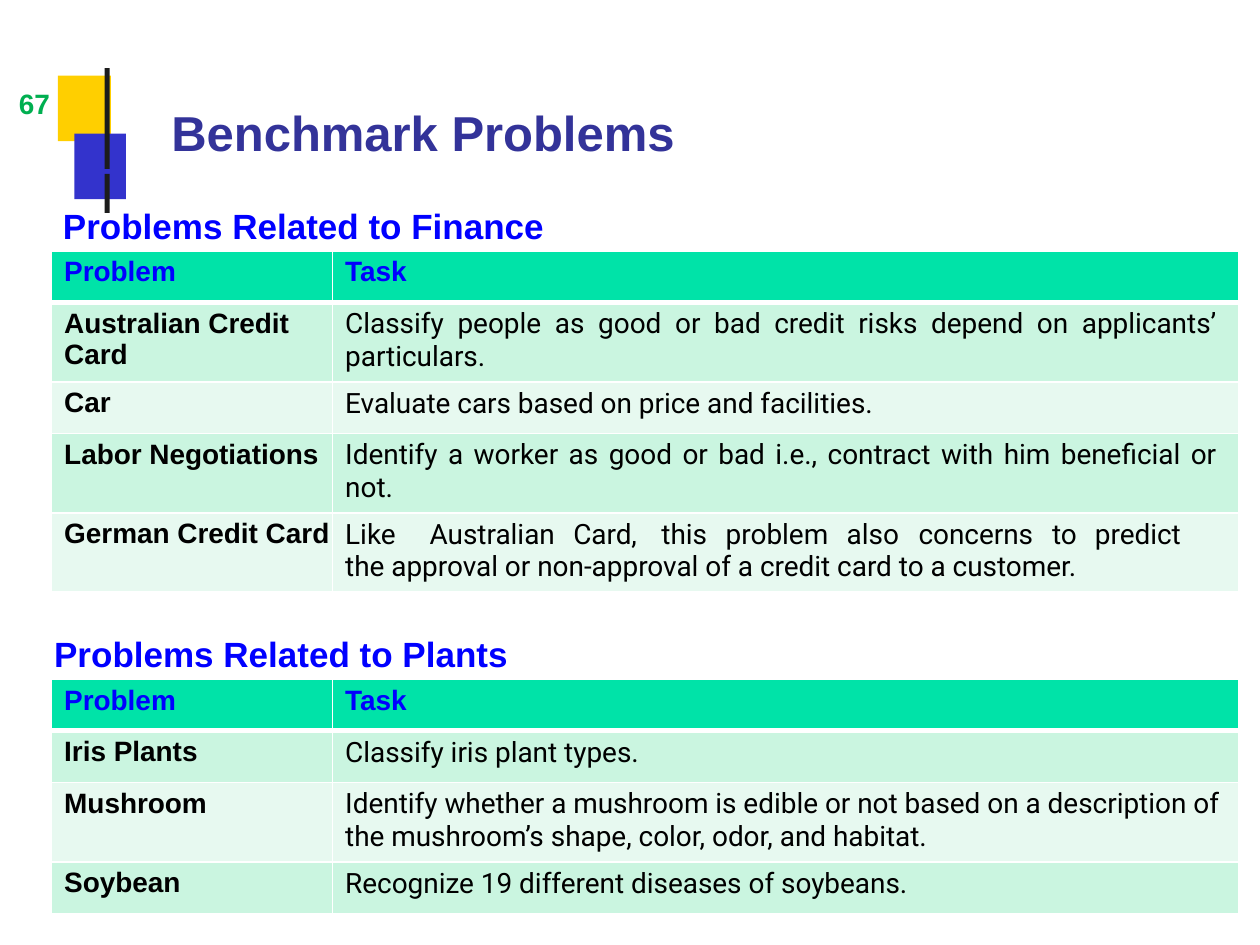
from lxml.etree import SubElement
from pptx import Presentation
from pptx.dml.color import RGBColor
from pptx.enum.shapes import MSO_SHAPE
from pptx.enum.text import MSO_ANCHOR, PP_ALIGN
from pptx.oxml.ns import qn
from pptx.util import Inches, Pt

BLUE = "0000FF"
HEADER_FILL = "00E3A8"
BAND_FILLS = ("CAF5E0", "E7F9F0")
COLUMN_WIDTHS = (2.23, 7.19)
SINGLE_ROW, DOUBLE_ROW = 0.41, 0.63
TASK_TABS = (0.67, 1.81, 2.51, 3.02, 3.98, 4.55, 5.61, 5.95)

# Problem, task, row height, whether the task is justified
FINANCE = [
    ("Australian Credit Card",
     "Classify people as good or bad credit risks depend on applicants’ particulars.",
     DOUBLE_ROW, True),
    ("Car", "Evaluate cars based on price and facilities.", SINGLE_ROW, False),
    ("Labor Negotiations",
     "Identify a worker as good or bad i.e., contract with him beneficial or not.",
     DOUBLE_ROW, True),
    ("German Credit Card",
     "Like\tAustralian\tCard,\tthis\tproblem\talso\tconcerns\tto\tpredict\t"
     "the approval or non-approval of a credit card to a customer.",
     DOUBLE_ROW, False),
]
PLANTS = [
    ("Iris Plants", "Classify iris plant types.", SINGLE_ROW, False),
    ("Mushroom",
     "Identify whether a mushroom is edible or not based on a description of "
     "the mushroom’s shape, color, odor, and habitat.", DOUBLE_ROW, False),
    ("Soybean", "Recognize 19 different diseases of soybeans.", SINGLE_ROW, False),
]


def rgb(value):
    return RGBColor.from_string(value)


def format_paragraph(paragraph, size, color, bold=True, name="Arial"):
    font = paragraph.font
    font.name, font.size, font.bold = name, Pt(size), bold
    font.color.rgb = rgb(color)


def set_margins(target, left, top, right=0):
    target.margin_left, target.margin_top = Inches(left), Inches(top)
    target.margin_right, target.margin_bottom = Inches(right), 0


def add_block(slide, left, top, width, height, color):
    shape = slide.shapes.add_shape(
        MSO_SHAPE.RECTANGLE, Inches(left), Inches(top), Inches(width), Inches(height))
    shape.shadow.inherit = False
    shape.fill.solid()
    shape.fill.fore_color.rgb = rgb(color)
    shape.line.fill.background()


def add_label(slide, text, left, top, width, height, size, color):
    box = slide.shapes.add_textbox(
        Inches(left), Inches(top), Inches(width), Inches(height))
    frame = box.text_frame
    frame.word_wrap = True
    set_margins(frame, 0.01, 0.03)
    frame.text = text
    format_paragraph(frame.paragraphs[0], size, color)


def set_title(slide, text):
    title = slide.shapes.title
    title.left, title.top = Inches(0.84), Inches(0.15)
    title.width, title.height = Inches(9.16), Inches(1.22)
    frame = title.text_frame
    frame.vertical_anchor = MSO_ANCHOR.TOP
    set_margins(frame, 0.52, 0.66)
    frame.text = text
    paragraph = frame.paragraphs[0]
    paragraph.alignment = PP_ALIGN.LEFT
    format_paragraph(paragraph, 28, "333399")


def set_borders(cell, top, bottom):
    """Draw white borders; top and bottom are widths in points."""
    properties = cell._tc.get_or_add_tcPr()
    for index, (side, width) in enumerate(
            (("lnL", 1), ("lnR", 1), ("lnT", top), ("lnB", bottom))):
        line = SubElement(properties, qn(f"a:{side}"), w=str(Pt(width)))
        fill = SubElement(line, qn("a:solidFill"))
        SubElement(fill, qn("a:srgbClr"), val="FFFFFF")
        properties.insert(index, line)


def add_tab_stops(paragraph, positions):
    properties = paragraph._p.get_or_add_pPr()
    tabs = SubElement(properties, qn("a:tabLst"))
    for position in positions:
        SubElement(tabs, qn("a:tab"), pos=str(Inches(position)), algn="l")
    properties.insert(0, tabs)


def fill_cell(cell, text, fill, color, bold=True, name="Arial"):
    cell.text = text
    set_margins(cell, 0.1, 0.045)
    cell.fill.solid()
    cell.fill.fore_color.rgb = rgb(fill)
    paragraph = cell.text_frame.paragraphs[0]
    format_paragraph(paragraph, 16, color, bold, name)
    return paragraph


def add_problem_table(slide, top, problems):
    heights = [SINGLE_ROW] + [problem[2] for problem in problems]
    table = slide.shapes.add_table(
        len(heights), 2, Inches(0.41), Inches(top),
        Inches(sum(COLUMN_WIDTHS)), Inches(sum(heights))).table
    for column, width in zip(table.columns, COLUMN_WIDTHS):
        column.width = Inches(width)
    for row, height in zip(table.rows, heights):
        row.height = Inches(height)

    for column, heading in enumerate(("Problem", "Task")):
        fill_cell(table.cell(0, column), heading, HEADER_FILL, BLUE)
    for row, (problem, task, _, justified) in enumerate(problems, start=1):
        fill = BAND_FILLS[(row - 1) % 2]
        fill_cell(table.cell(row, 0), problem, fill, "000000")
        task_cell = table.cell(row, 1)
        paragraph = fill_cell(task_cell, task, fill, "000000", False, "Roboto")
        if justified:
            paragraph.alignment = PP_ALIGN.JUSTIFY
            task_cell.margin_right = Inches(0.17)
        if "\t" in task:
            task_cell.margin_right = Inches(0.17)
            add_tab_stops(paragraph, TASK_TABS)

    for row in range(len(heights)):
        for column in range(2):
            set_borders(table.cell(row, column),
                        top=3 if row == 1 else 1, bottom=3 if row == 0 else 1)


def main():
    presentation = Presentation()
    presentation.slide_width, presentation.slide_height = Inches(10), Inches(7.5)
    slide = presentation.slides.add_slide(presentation.slide_layouts[5])

    add_block(slide, 0.46, 0.6, 0.42, 0.52, "FFCF00")
    add_block(slide, 0.59, 1.06, 0.41, 0.52, "3333CC")
    for top, height in ((0.54, 0.8), (1.38, 0.31)):
        add_block(slide, 0.83, top, 0.04, height, "1C1C1C")

    set_title(slide, "Benchmark Problems")
    add_label(slide, "Problems Related to Finance", 0.49, 1.59, 4.2, 0.36, 20, BLUE)
    add_problem_table(slide, 1.99, FINANCE)
    add_label(slide, "Problems Related to Plants", 0.42, 4.99, 4.2, 0.36, 20, BLUE)
    add_problem_table(slide, 5.39, PLANTS)
    add_label(slide, "67", 0.14, 0.66, 0.28, 0.29, 16, "00AF50")
    presentation.save("out.pptx")


if __name__ == "__main__":
    main()
